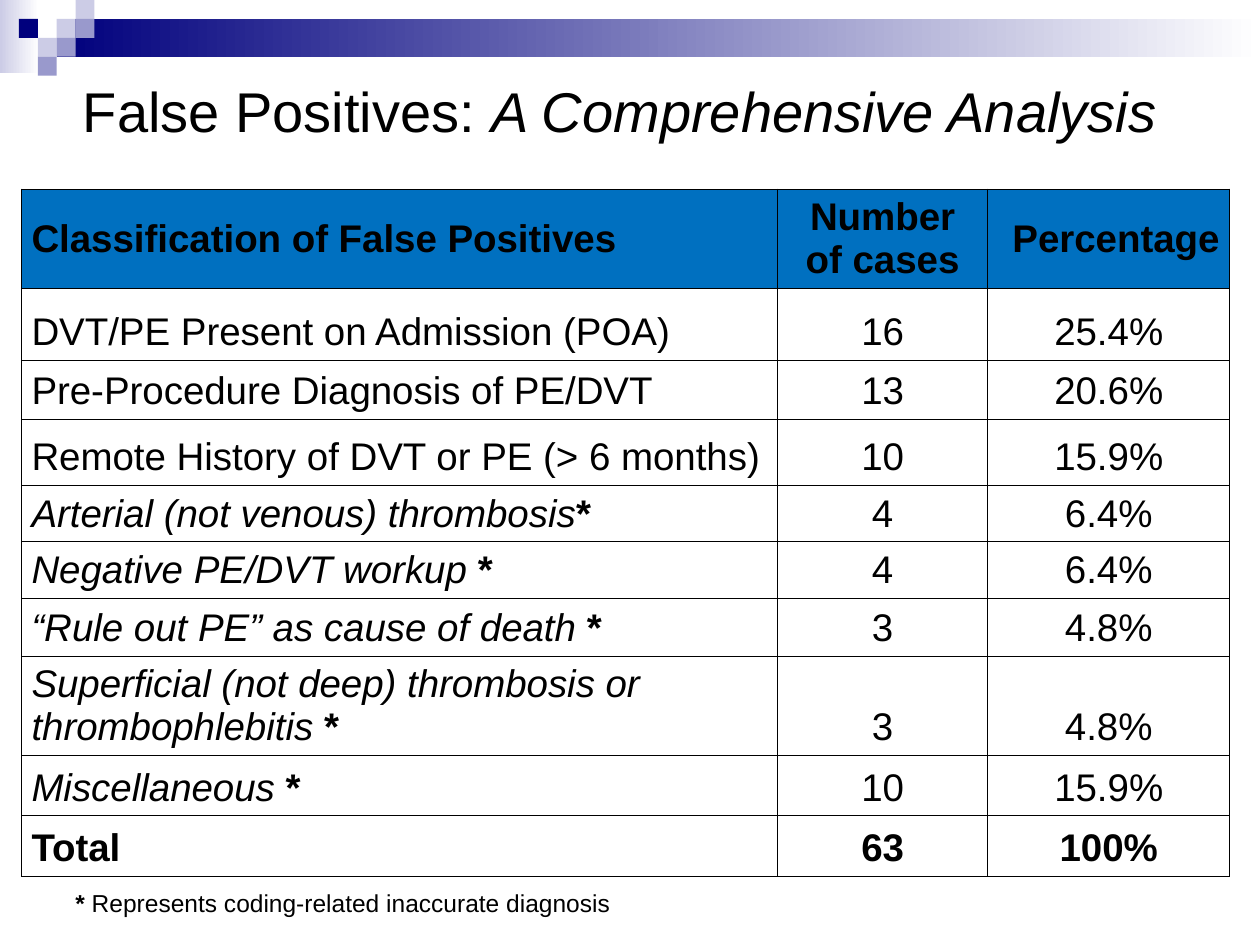
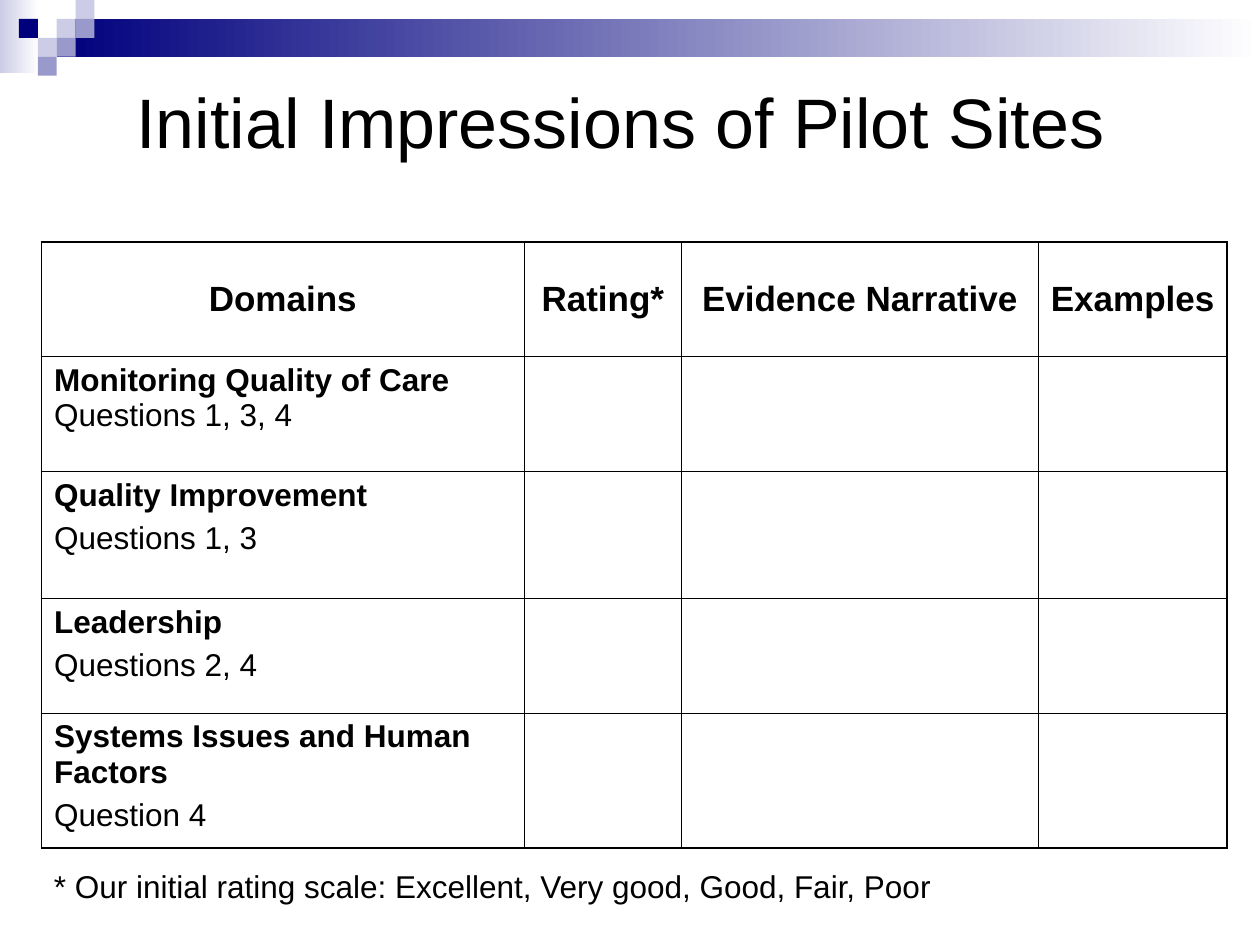
from typing import NamedTuple

from lxml.etree import SubElement
from pptx import Presentation
from pptx.dml.color import RGBColor
from pptx.enum.shapes import MSO_SHAPE as Shape
from pptx.enum.text import MSO_ANCHOR as Anchor
from pptx.enum.text import MSO_AUTO_SIZE as Fit
from pptx.enum.text import PP_ALIGN as Align
from pptx.oxml.ns import qn
from pptx.util import Inches, Pt

FONT = "Arial"
HEX = {
    "navy": "00007D",
    "mid": "9999CC",
    "pale": "CCCCE6",
    "white": "FFFFFF",
    "black": "000000",
    "head": "0070C0",
}
THIN, THICK = Pt(0.45), Pt(1.08)
SIDES = ("L", "R", "T", "B")


class Box(NamedTuple):
    left: float
    top: float
    width: float
    height: float

    def emu(self) -> list:
        return [Inches(n) for n in self]


class Tile(NamedTuple):
    box: Box
    hue: str
    fade: bool = False


class Bit(NamedTuple):
    text: str
    bold: bool = False
    slant: bool = False


class Cell(NamedTuple):
    paras: list  # each paragraph is a list of bits
    size: float
    align: Align = Align.LEFT
    anchor: Anchor = Anchor.TOP
    fill: str = "white"


class Grid(NamedTuple):
    box: Box
    cols: list
    rows: list
    pad: float
    edge: int  # width of the outer border


def square(col: int, row: int, hue: str) -> Tile:
    return Tile(Box(0.15 * col, 0.15 * row, 0.15, 0.15), hue)


TILES = [
    Tile(Box(0, 0, 0.31, 0.58), "pale", True),
    Tile(Box(0.45, 0.15, 9.55, 0.3), "navy", True),
    square(3, 1, "pale"),
    square(4, 0, "pale"),
    square(4, 1, "mid"),
    square(2, 2, "pale"),
    square(1, 1, "navy"),
    square(3, 2, "mid"),
    square(2, 3, "mid"),
]


def tint(name: str) -> RGBColor:
    return RGBColor.from_string(HEX[name])


def add_band(slide, layout) -> None:
    """Draw the corner tiles and move them to the back of the layout."""
    for n, tile in enumerate(TILES):
        shape = slide.shapes.add_shape(Shape.RECTANGLE, *tile.box.emu())
        shape.shadow.inherit = False
        shape.line.fill.background()
        if tile.fade:
            shape.fill.gradient()
            shape.fill.gradient_angle = 0
            for stop, hue in zip(shape.fill.gradient_stops, (tile.hue, "white")):
                stop.color.rgb = tint(hue)
        else:
            shape.fill.solid()
            shape.fill.fore_color.rgb = tint(tile.hue)
        shape.element.nvSpPr.cNvPr.set("id", str(100 + n))
        layout.shapes.element.insert(2 + n, shape.element)


def write(frame, paras: list, size: float, align: Align = Align.LEFT) -> None:
    frame.text = "\n".join(bits[0].text for bits in paras)
    for n, (para, bits) in enumerate(zip(frame.paragraphs, paras)):
        para.alignment = align
        para.space_before = Pt(4.5 if n else 0)
        for bit in bits[1:]:
            para.add_run().text = bit.text
        for run, bit in zip(para.runs, bits):
            font = run.font
            font.name, font.size = FONT, Pt(size)
            font.bold, font.italic = bit.bold, bit.slant
            font.color.rgb = tint("black")


def set_title(slide, box: Box, bits: list, size: float) -> None:
    title = slide.shapes.title
    title.left, title.top, title.width, title.height = box.emu()
    frame = title.text_frame
    frame.auto_size = Fit.NONE
    frame.vertical_anchor = Anchor.MIDDLE
    write(frame, [bits], size, Align.CENTER)


def add_note(slide, box: Box, bits: list, size: float) -> None:
    frame = slide.shapes.add_textbox(*box.emu()).text_frame
    frame.word_wrap = True
    write(frame, [bits], size)


def add_edges(cell, widths: list) -> None:
    props = cell._tc.get_or_add_tcPr()
    for n, (side, width) in enumerate(zip(SIDES, widths)):
        line = SubElement(props, qn(f"a:ln{side}"), w=str(int(width)))
        fill = SubElement(line, qn("a:solidFill"))
        SubElement(fill, qn("a:srgbClr"), val=HEX["black"])
        props.insert(n, line)


def add_grid(slide, grid: Grid, cells: list) -> None:
    table = slide.shapes.add_table(
        len(grid.rows), len(grid.cols), *grid.box.emu()
    ).table
    table.first_row = table.horz_banding = False
    for col, width in zip(table.columns, grid.cols):
        col.width = Inches(width)
    last_row, last_col = len(grid.rows) - 1, len(grid.cols) - 1
    for r, (height, line) in enumerate(zip(grid.rows, cells)):
        table.rows[r].height = Inches(height)
        for c, data in enumerate(line):
            cell = table.cell(r, c)
            cell.margin_left = cell.margin_right = Inches(grid.pad)
            cell.vertical_anchor = data.anchor
            cell.fill.solid()
            cell.fill.fore_color.rgb = tint(data.fill)
            outer = (c == 0, c == last_col, r == 0, r == last_row)
            add_edges(cell, [grid.edge if out else THIN for out in outer])
            if data.paras:
                write(cell.text_frame, data.paras, data.size, data.align)


def star(text: str) -> list:
    return [Bit(text, slant=True), Bit("*", bold=True)]


# False positives: heading, cases and total
CASES = [
    ([Bit("DVT/PE Present on Admission (POA)")], "16", "25.4%"),
    ([Bit("Pre-Procedure Diagnosis of PE/DVT")], "13", "20.6%"),
    ([Bit("Remote History of DVT or PE (> 6 months)")], "10", "15.9%"),
    (star("Arterial (not venous) thrombosis"), "4", "6.4%"),
    (star("Negative PE/DVT workup "), "4", "6.4%"),
    (star("“Rule out PE” as cause of death "), "3", "4.8%"),
    (star("Superficial (not deep) thrombosis or thrombophlebitis "), "3", "4.8%"),
    (star("Miscellaneous "), "10", "15.9%"),
    ([Bit("Total", bold=True)], "63", "100%"),
]
CASE_HEADS = [
    ("Classification of False Positives", Align.LEFT),
    ("Number of cases", Align.CENTER),
    ("Percentage", Align.RIGHT),
]
CASE_GRID = Grid(
    Box(0.17, 1.5, 9.58, 5.4),
    [6, 1.67, 1.92],
    [0.79, 0.57, 0.47, 0.52, 0.45, 0.45, 0.46, 0.73, 0.48, 0.48],
    0.08,
    THIN,
)

# Pilot sites: domains to be rated
SITE_HEADS = ["Domains", "Rating*", "Evidence Narrative", "Examples"]
DOMAINS = [
    [[Bit("Monitoring Quality of Care", True), Bit(" Questions 1, 3, 4")]],
    [[Bit("Quality Improvement", True)], [Bit("Questions 1, 3")]],
    [[Bit("Leadership", True)], [Bit("Questions 2, 4")]],
    [[Bit("Systems Issues and Human Factors", True)], [Bit("Question 4")]],
]
SITE_GRID = Grid(
    Box(0.33, 1.92, 9.42, 4.8),
    [3.83, 1.25, 2.83, 1.5],
    [0.91, 0.91, 1.01, 0.91, 1.07],
    0.1,
    THICK,
)


def case_cells() -> list:
    cells = [
        [
            Cell([[Bit(text, True)]], 22, align, Anchor.MIDDLE, "head")
            for text, align in CASE_HEADS
        ]
    ]
    for bits, *counts in CASES:
        bold = bits[0].bold
        line = [Cell([bits], 22, anchor=Anchor.BOTTOM)]
        for count in counts:
            line.append(Cell([[Bit(count, bold)]], 22, Align.CENTER, Anchor.BOTTOM))
        cells.append(line)
    return cells


def site_cells() -> list:
    heads = [
        Cell([[Bit(text, True)]], 20, Align.CENTER, Anchor.MIDDLE)
        for text in SITE_HEADS
    ]
    blanks = [Cell([], 18)] * (len(SITE_HEADS) - 1)
    return [heads] + [[Cell(paras, 18), *blanks] for paras in DOMAINS]


def main() -> None:
    deck = Presentation()
    deck.slide_width, deck.slide_height = Inches(10), Inches(7.5)
    layout = deck.slide_layouts[5]

    # Slide 1: false positives
    slide = deck.slides.add_slide(layout)
    add_band(slide, layout)
    heading = [Bit("False Positives: "), Bit("A Comprehensive Analysis", slant=True)]
    set_title(slide, Box(0.42, 0.5, 9, 0.75), heading, 32)
    add_grid(slide, CASE_GRID, case_cells())
    note = [Bit("* ", True), Bit("Represents coding-related inaccurate diagnosis")]
    add_note(slide, Box(0.5, 7, 4.67, 0.34), note, 14)

    # Slide 2: pilot sites
    slide = deck.slides.add_slide(layout)
    heading = [Bit("Initial Impressions of Pilot Sites ")]
    set_title(slide, Box(0.5, 0.58, 9, 0.75), heading, 40)
    add_grid(slide, SITE_GRID, site_cells())
    note = [Bit("* Our initial rating scale: Excellent, Very good, Good, Fair, Poor")]
    add_note(slide, Box(0.33, 6.83, 9.42, 0.4), note, 18)

    deck.save("out.pptx")


if __name__ == "__main__":
    main()
